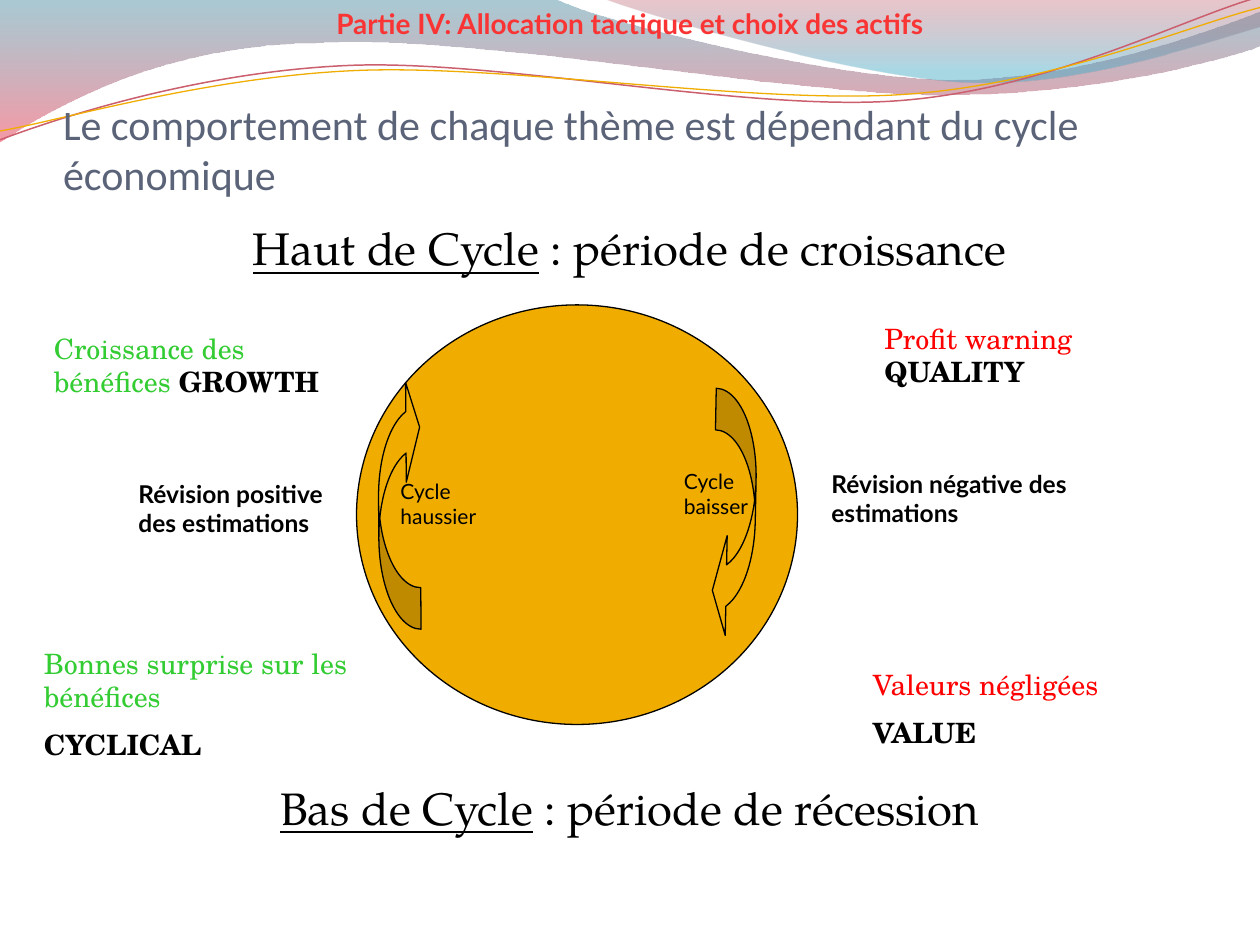
"""Build the slide on investment themes across the economic cycle."""
import pptx
import pptx.dml.color
import pptx.enum.shapes
import pptx.enum.text
import pptx.oxml
import pptx.oxml.ns
import pptx.util

Inches = pptx.util.Inches
Pt = pptx.util.Pt
qn = pptx.oxml.ns.qn
SHAPES = pptx.enum.shapes.MSO_SHAPE
ALIGN = pptx.enum.text.PP_ALIGN

GOLD, BLACK, GREEN, RED, SLATE = "F0AD00", "000000", "33CC33", "FF0000", "5A6378"
SANS, TITLE_FONT, SERIF, SCHOOL = "Lato", "Calibri", "TeX Gyre Pagella", "TeX Gyre Schola"

TITLE = "Le comportement de chaque thème est dépendant du cycle économique"
HEADER = "Partie IV: Allocation tactique et choix des actifs"

BANDS = [
    ([[(0, -0.01)], [(4.4, -0.01)],
      [(4.76, 0.17), (6.64, 0.63), (7.58, 0.63)],
      [(8.53, 0.63), (9.58, 0.26), (10, 0.09)], [(10.01, 0.36)],
      [(9.83, 0.44), (8.7, 0.76), (7.46, 0.75)],
      [(6.22, 0.75), (3.82, 0.28), (2.57, 0.34)],
      [(1.29, 0.35), (0.46, 0.83), (-0.01, 1.13)]],
     [(0, "3F8A9F", 45), (1, "EF445B", 55)]),
    ([[(4.79, -0.01)],
      [(5.09, 0.11), (6.82, 0.62), (7.69, 0.65)],
      [(8.56, 0.69), (9.61, 0.32), (10, 0.21)], [(10, 0)]],
     [(0, "B84253", 30), (0.8, "42ABC7", 45)]),
]
STRANDS = [
    ([[(0, 1.11)],
      [(0.48, 0.93), (1.58, 0.57), (2.77, 0.52)],
      [(3.95, 0.47), (5.93, 0.89), (7.13, 0.8)],
      [(8.33, 0.71), (9.38, 0.15), (9.98, -0.02)]], "CB5F6E", 0.85),
    ([[(0, 1.04)],
      [(0.47, 0.96), (1.64, 0.61), (2.83, 0.56)],
      [(4.03, 0.51), (5.97, 0.83), (7.17, 0.75)],
      [(8.36, 0.67), (9.41, 0.21), (10, 0.06)]], GOLD, 0.75),
]
CYCLE = (2.83, 2.42, 3.5, 3.33)
ARROWS = [((4.83, 3.92, 2, 0.33), 91.1), ((2.17, 3.83, 2, 0.33), 269.6)]

PHASES = [
    ((0.5, 1.75, 9, 0.55), "Haut de Cycle", " : période de croissance"),
    ((0.5, 6.19, 9, 0.55), "Bas de Cycle", " : période de récession"),
]
DIRECTIONS = [
    ((3.08, 3.75, 0.92, 0.5), "Cycle haussier"),
    ((5.33, 3.67, 0.92, 0.5), "Cycle baisser"),
]
REVISIONS = [
    ((1, 3.75, 1.92, 0.57), "Révision positive des estimations"),
    ((6.5, 3.67, 2.08, 0.57), "Révision négative des estimations"),
]
THEMES = [
    ((0.33, 2.58, 2.67, 0.64), "Croissance des bénéfices ", "GROWTH", GREEN, False),
    ((6.92, 2.5, 2.92, 0.64), "Profit warning\v", "QUALITY", RED, False),
    ((0.25, 5.08, 2.83, 1.04), "Bonnes surprise sur les bénéfices", "CYCLICAL", GREEN, True),
    ((6.83, 5.25, 2.42, 0.77), "Valeurs négligées", "VALUE", RED, True),
]


def rgb(code):
    """Turn a hex string into a colour."""
    return pptx.dml.color.RGBColor.from_string(code)


def put_text(paragraph, text, size, font, color, bold=False, underline=False):
    """Add formatted text to a paragraph, with \\v as a line break."""
    for index, line in enumerate(text.split("\v")):
        if index:
            paragraph.add_line_break()
        if line:
            run = paragraph.add_run()
            run.text = line
            run.font.size, run.font.name = Pt(size), font
            run.font.bold, run.font.underline = bold, underline
            run.font.color.rgb = rgb(color)


def new_frame(slide, box):
    """Add a wrapping text box and return its text frame."""
    frame = slide.shapes.add_textbox(*map(Inches, box)).text_frame
    frame.word_wrap = True
    return frame


def add_wave(slide, segments, close):
    """Draw a freeform whose three-point segments are Bézier curves."""
    start, *rest = [tuple(map(Inches, point)) for segment in segments for point in segment]
    builder = slide.shapes.build_freeform(*start)
    builder.add_line_segments(rest, close=close)
    wave = builder.convert_to_shape()
    wave.shadow.inherit = False
    lines = iter(list(wave._element.iter(qn("a:lnTo"))))
    for segment in segments[1:]:
        first, *others = [next(lines) for _ in segment]
        if others:
            curve = pptx.oxml.parse_xml(f'<a:cubicBezTo {pptx.oxml.ns.nsdecls("a")}/>')
            first.addprevious(curve)
            for line in (first, *others):
                curve.append(line[0])
                line.getparent().remove(line)
    return wave


def add_band(slide, segments, stops):
    """Draw a wave filled with a translucent vertical gradient."""
    band = add_wave(slide, segments, True)
    band.line.fill.background()
    band.fill.gradient()
    band.fill.gradient_angle = 270
    for stop, (position, color, _) in zip(band.fill.gradient_stops, stops):
        stop.position, stop.color.rgb = position, rgb(color)
    gradient = band._element.spPr.find(qn("a:gradFill"))
    for node, (_, _, opacity) in zip(gradient.iter(qn("a:srgbClr")), stops):
        alpha = pptx.oxml.parse_xml(
            f'<a:alpha {pptx.oxml.ns.nsdecls("a")} val="{opacity * 1000}"/>')
        node.append(alpha)


def add_gold(slide, kind, box):
    """Add a gold preset shape with a black outline."""
    shape = slide.shapes.add_shape(kind, *map(Inches, box))
    shape.shadow.inherit = False
    shape.fill.solid()
    shape.fill.fore_color.rgb = rgb(GOLD)
    shape.line.color.rgb = rgb(BLACK)
    shape.line.width = Pt(0.75)
    return shape


def add_title(slide):
    """Place and format the title above the waves."""
    title = slide.shapes.title
    slide.shapes._spTree.append(title._element)
    title.left, title.top, title.width, title.height = map(Inches, (0.5, 0.77, 9, 0.81))
    frame = title.text_frame
    frame.auto_size = pptx.enum.text.MSO_AUTO_SIZE.NONE
    frame.word_wrap = True
    frame.vertical_anchor = pptx.enum.text.MSO_ANCHOR.BOTTOM
    frame.margin_left = frame.margin_right = frame.margin_bottom = 0
    frame.margin_top = Inches(0.05)
    frame.paragraphs[0].alignment = ALIGN.LEFT
    put_text(frame.paragraphs[0], TITLE, 24, TITLE_FONT, SLATE)


def main():
    """Assemble and save the slide."""
    deck = pptx.Presentation()
    deck.slide_width, deck.slide_height = Inches(10), Inches(7.5)
    slide = deck.slides.add_slide(deck.slide_layouts[5])

    for segments, stops in BANDS:
        add_band(slide, segments, stops)
    for segments, color, width in STRANDS:
        strand = add_wave(slide, segments, False)
        strand.fill.background()
        strand.line.color.rgb, strand.line.width = rgb(color), Pt(width)
    add_title(slide)

    for box, phase, meaning in PHASES:
        paragraph = new_frame(slide, box).paragraphs[0]
        paragraph.alignment, paragraph.line_spacing = ALIGN.CENTER, 0.9
        put_text(paragraph, phase, 26, SERIF, BLACK, underline=True)
        put_text(paragraph, meaning, 26, SERIF, BLACK)

    add_gold(slide, SHAPES.OVAL, CYCLE)
    for box, angle in ARROWS:
        arrow = add_gold(slide, SHAPES.CURVED_DOWN_ARROW, box)
        arrow.rotation = angle
        for index, value in enumerate((1.2, 2.4, 0.33)):
            arrow.adjustments[index] = value

    for labels, size, bold in ((DIRECTIONS, 12, False), (REVISIONS, 14, True)):
        for box, text in labels:
            put_text(new_frame(slide, box).paragraphs[0], text, size, SANS, BLACK, bold=bold)
    for box, signal, theme, color, separate in THEMES:
        frame = new_frame(slide, box)
        paragraph = frame.paragraphs[0]
        put_text(paragraph, signal, 16, SCHOOL, color)
        if separate:
            paragraph = frame.add_paragraph()
            paragraph.space_before = Pt(8)
        put_text(paragraph, theme, 16, SCHOOL, BLACK, bold=True)

    header = new_frame(slide, (0, 0, 10, 0.37)).paragraphs[0]
    header.alignment = ALIGN.CENTER
    put_text(header, HEADER, 16, SANS, "F83534", bold=True)
    deck.save("out.pptx")


if __name__ == "__main__":
    main()
